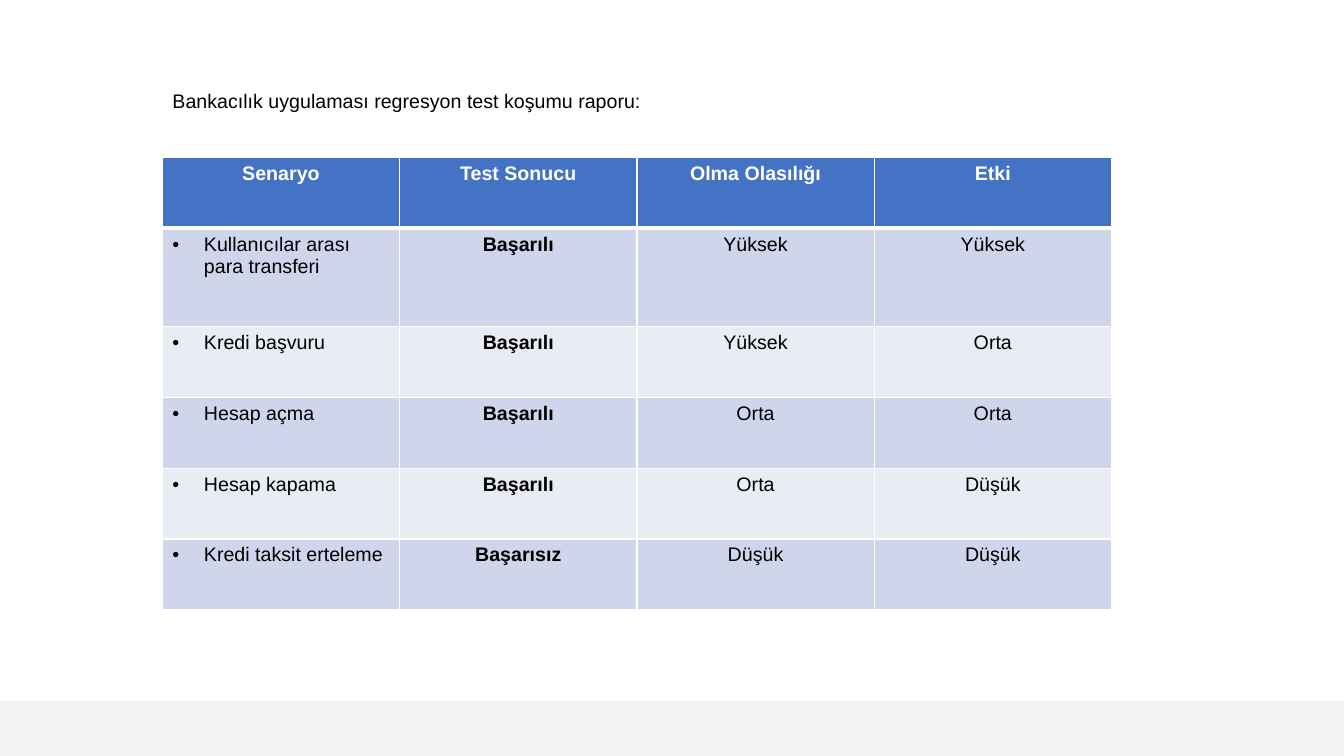
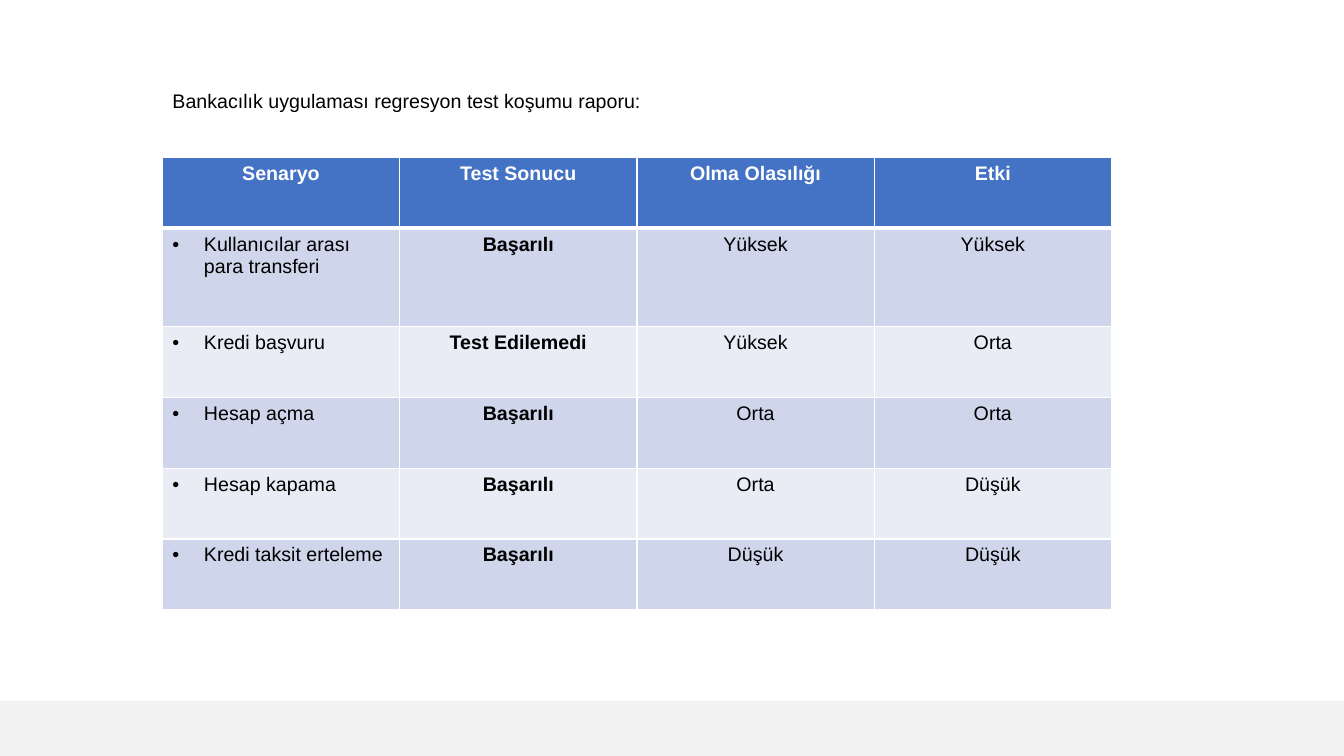
from dataclasses import dataclass

from lxml import etree
from pptx import Presentation
from pptx.dml.color import RGBColor
from pptx.enum.shapes import MSO_SHAPE
from pptx.enum.text import MSO_ANCHOR, MSO_AUTO_SIZE, PP_ALIGN
from pptx.oxml import parse_xml
from pptx.oxml.ns import nsdecls, qn
from pptx.util import Pt

RECTANGLE = MSO_SHAPE.RECTANGLE
TOP = MSO_ANCHOR.TOP
FIT_SHAPE = MSO_AUTO_SIZE.SHAPE_TO_FIT_TEXT
LEFT, CENTER = PP_ALIGN.LEFT, PP_ALIGN.CENTER
TITLE_ONLY = 5


@dataclass(frozen=True)
class Theme:
    font: str = "Arial"
    size: float = 14
    text: str = "000000"
    light: str = "FFFFFF"
    header: str = "4472C4"
    bands: tuple = ("CFD5EA", "E9EBF5")
    footer: str = "F2F2F2"
    border: float = 1
    header_border: float = 3
    bullet_indent: float = 22.5


def apply(target, values):
    for name, value in values.items():
        setattr(target, name, value)


class ReportDeck:
    width, height = 960, 540
    left = 116

    def __init__(self, theme):
        self.theme = theme
        self.presentation = Presentation()
        apply(self.presentation, {"slide_width": Pt(self.width), "slide_height": Pt(self.height)})
        self.slide = None

    def add_slide(self):
        self.slide = self.presentation.slides.add_slide(self.presentation.slide_layouts[TITLE_ONLY])

    def footer_band(self, height=39.5):
        band = self.slide.shapes.add_shape(
            RECTANGLE, 0, Pt(self.height - height), Pt(self.width), Pt(height))
        band.shadow.inherit = False
        band.fill.solid()
        band.fill.fore_color.rgb = RGBColor.from_string(self.theme.footer)
        band.line.fill.background()

    def add_text(self, frame, text, color, bold=False, alignment=LEFT):
        paragraph = frame.paragraphs[0]
        paragraph.alignment = alignment
        run = paragraph.add_run()
        run.text = text
        apply(run.font, {"name": self.theme.font, "size": Pt(self.theme.size), "bold": bold})
        run.font.color.rgb = RGBColor.from_string(color)
        return paragraph

    def title(self, text):
        title = self.slide.shapes.title
        apply(title, {"left": Pt(self.left), "top": Pt(60), "width": Pt(350.6), "height": Pt(24.5)})
        apply(title.text_frame, {"word_wrap": False, "auto_size": FIT_SHAPE, "vertical_anchor": TOP})
        self.add_text(title.text_frame, text, self.theme.text)

    def bullet(self, paragraph):
        indent = Pt(self.theme.bullet_indent)
        properties = paragraph._p.get_or_add_pPr()
        properties.set("marL", str(indent))
        properties.set("indent", str(-indent))
        color = etree.SubElement(properties, qn("a:buClr"))
        etree.SubElement(color, qn("a:srgbClr")).set("val", self.theme.text)
        etree.SubElement(properties, qn("a:buFont")).set("typeface", self.theme.font)
        etree.SubElement(properties, qn("a:buChar")).set("char", "•")

    def borders(self, cell, top, bottom):
        thin = self.theme.border
        edges = {"lnL": thin, "lnR": thin, "lnT": top, "lnB": bottom}
        properties = cell._tc.get_or_add_tcPr()
        for position, (edge, weight) in enumerate(edges.items()):
            properties.insert(position, parse_xml(
                f'<a:{edge} {nsdecls("a")} w="{Pt(weight)}"><a:solidFill>'
                f'<a:srgbClr val="{self.theme.light}"/></a:solidFill></a:{edge}>'))

    def cell(self, cell, text, row, column):
        theme = self.theme
        is_header = row == 0
        is_scenario = column == 0 and not is_header
        fill = theme.header if is_header else theme.bands[(row - 1) % 2]
        cell.fill.solid()
        cell.fill.fore_color.rgb = RGBColor.from_string(fill)
        self.borders(cell,
                     theme.header_border if row == 1 else theme.border,
                     theme.header_border if is_header else theme.border)
        paragraph = self.add_text(cell.text_frame, text,
                                  theme.light if is_header else theme.text,
                                  bold=is_header or column == 1,
                                  alignment=LEFT if is_scenario else CENTER)
        if is_scenario:
            self.bullet(paragraph)

    def table(self, rows, row_heights, top=112.5, width=678):
        columns = len(rows[0])
        table = self.slide.shapes.add_table(
            len(rows), columns, Pt(self.left), Pt(top), Pt(width), Pt(sum(row_heights))).table
        table.horz_banding = False
        for column in table.columns:
            column.width = Pt(width / columns)
        for row, (values, height) in enumerate(zip(rows, row_heights)):
            table.rows[row].height = Pt(height)
            for column, text in enumerate(values):
                self.cell(table.cell(row, column), text, row, column)


TITLE = "Bankacılık uygulaması regresyon test koşumu raporu:"
HEADINGS = ("Senaryo", "Test Sonucu", "Olma Olasılığı", "Etki")
SCENARIOS = (
    ("Kullanıcılar arası para transferi", "Yüksek", "Yüksek"),
    ("Kredi başvuru", "Yüksek", "Orta"),
    ("Hesap açma", "Orta", "Orta"),
    ("Hesap kapama", "Orta", "Düşük"),
    ("Kredi taksit erteleme", "Düşük", "Düşük"),
)
PASSED, FAILED, UNTESTED = "Başarılı", "Başarısız", "Test Edilemedi"
TEST_RUNS = (
    (PASSED, PASSED, PASSED, PASSED, FAILED),
    (PASSED, UNTESTED, PASSED, PASSED, PASSED),
)
ROW_HEIGHTS = (50.5, 70.5) + (50.5,) * 4

deck = ReportDeck(Theme())
for results in TEST_RUNS:
    rows = [HEADINGS] + [
        (scenario, result, likelihood, impact)
        for (scenario, likelihood, impact), result in zip(SCENARIOS, results)]
    deck.add_slide()
    deck.footer_band()
    deck.title(TITLE)
    deck.table(rows, ROW_HEIGHTS)
deck.presentation.save("out.pptx")
